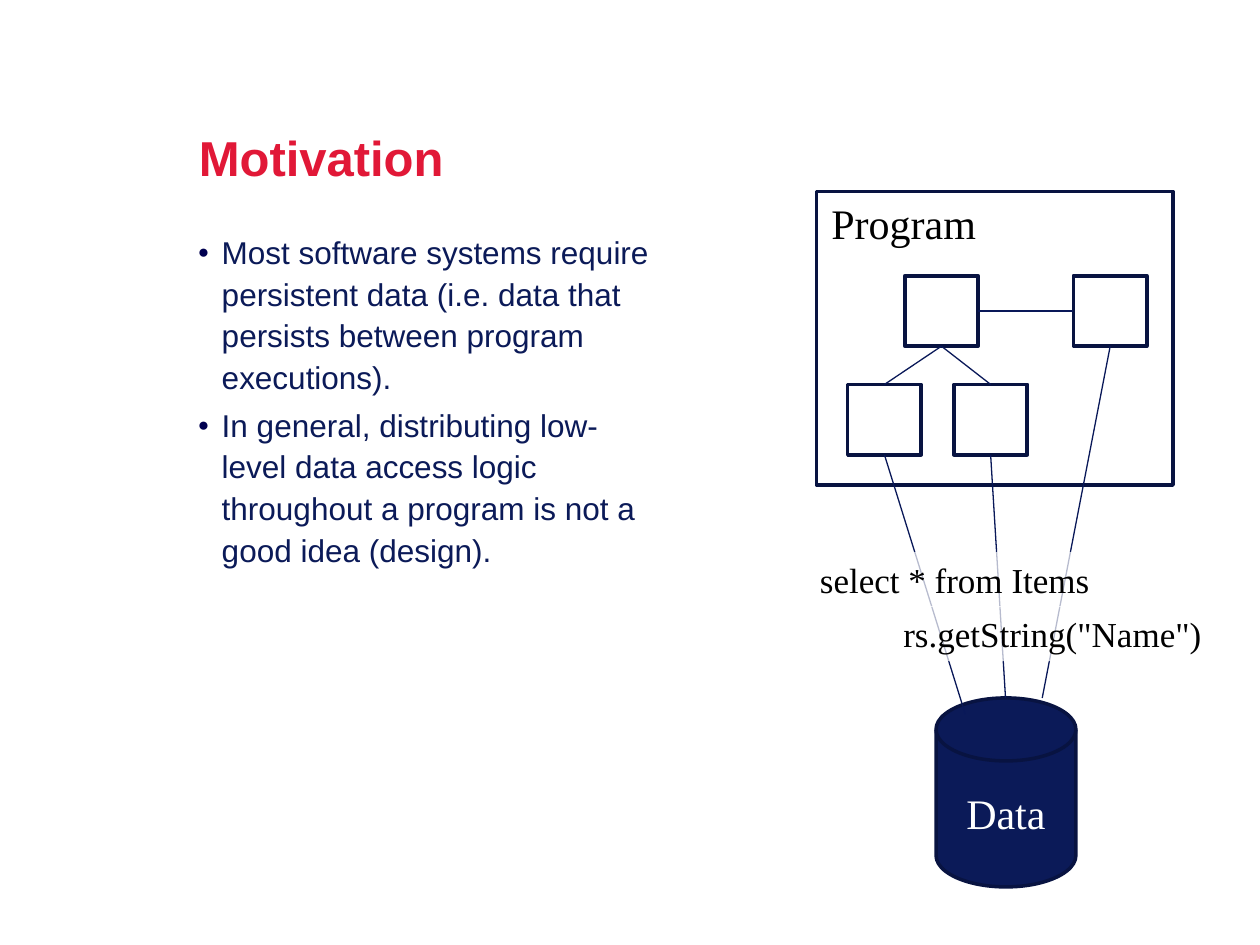
from dataclasses import dataclass

from lxml.etree import SubElement
from pptx import Presentation
from pptx.dml.color import RGBColor
from pptx.enum.shapes import MSO_CONNECTOR as Connector, MSO_SHAPE as Preset
from pptx.enum.text import MSO_ANCHOR as Anchor, MSO_AUTO_SIZE as AutoSize, PP_ALIGN as Align
from pptx.oxml.ns import qn
from pptx.util import Cm, Pt


@dataclass(frozen=True)
class Theme:
    heading_font: str = "Arial"
    diagram_font: str = "Times New Roman"
    red: str = "E11837"
    navy: str = "0B1A58"
    bullet: str = "000050"
    outline: str = "081341"
    link: str = "091858"
    black: str = "000000"
    white: str = "FFFFFF"
    title_size: int = 28
    body_size: int = 18
    label_size: int = 24
    code_size: int = 20
    outline_width: float = 2
    link_width: float = 0.75


TOP, LEFT, BOTTOM, RIGHT = range(4)  # connection sites of a rectangle


class SlideBuilder:
    def __init__(self, slide, theme):
        self.slide = slide
        self.theme = theme

    def place(self, shape, left, top, width, height):
        shape.left, shape.top = Cm(left), Cm(top)
        shape.width, shape.height = Cm(width), Cm(height)

    def style_text(self, text_frame, font, size, color, bold=False):
        for paragraph in text_frame.paragraphs:
            paragraph.alignment = Align.LEFT
            for run in paragraph.runs:
                run.font.name, run.font.size, run.font.bold = font, Pt(size), bold
                run.font.color.rgb = RGBColor.from_string(color)

    def fill_placeholder(self, shape, text, box, anchor, size, color, bold=False):
        self.place(shape, *box)
        frame = shape.text_frame
        frame.text = text
        frame.auto_size = AutoSize.NONE
        frame.vertical_anchor = anchor
        frame.margin_left = 0
        self.style_text(frame, self.theme.heading_font, size, color, bold)
        return frame

    def title(self, text, *box):
        frame = self.fill_placeholder(self.slide.shapes.title, text, box, Anchor.BOTTOM,
                                      self.theme.title_size, self.theme.red, True)
        frame.paragraphs[0].line_spacing = 0.9

    def bullets(self, items, *box):
        frame = self.fill_placeholder(self.slide.placeholders[1], "\n".join(items), box,
                                      Anchor.TOP, self.theme.body_size, self.theme.navy)
        for paragraph in frame.paragraphs:
            paragraph.line_spacing = 1.1
            paragraph.space_before = Pt(self.theme.body_size * 0.2)
            properties = paragraph._p.get_or_add_pPr()
            properties.set("marL", str(Cm(0.48)))
            properties.set("indent", str(-Cm(0.48)))
            color = SubElement(properties, qn("a:buClr"))
            SubElement(color, qn("a:srgbClr"), val=self.theme.bullet)
            SubElement(properties, qn("a:buSzPct"), val="60000")
            SubElement(properties, qn("a:buFont"), typeface=self.theme.heading_font)
            SubElement(properties, qn("a:buChar"), char="●")

    def outlined(self, preset, left, top, width, height, fill=None):
        shape = self.slide.shapes.add_shape(preset, Cm(left), Cm(top), Cm(width), Cm(height))
        shape.shadow.inherit = False
        if fill:
            shape.fill.solid()
            shape.fill.fore_color.rgb = RGBColor.from_string(fill)
        else:
            shape.fill.background()
        shape.line.color.rgb = RGBColor.from_string(self.theme.outline)
        shape.line.width = Pt(self.theme.outline_width)
        return shape

    def label(self, text, left, top, width, height, size, color, veil=None):
        shape = self.slide.shapes.add_textbox(Cm(left), Cm(top), Cm(width), Cm(height))
        frame = shape.text_frame
        frame.text = text
        frame.word_wrap = False
        frame.auto_size = AutoSize.SHAPE_TO_FIT_TEXT
        self.style_text(frame, self.theme.diagram_font, size, color)
        if veil:
            shape.fill.solid()
            shape.fill.fore_color.rgb = RGBColor.from_string(self.theme.white)
            color_element = shape._element.spPr.find(f"{qn('a:solidFill')}/{qn('a:srgbClr')}")
            SubElement(color_element, qn("a:alpha"), val=str(veil * 1000))

    def link(self, source, source_site, target, target_site=None):
        """Join a box to another box, or to a point given as (x, y)."""
        end = (0, 0) if target_site is not None else map(Cm, target)
        line = self.slide.shapes.add_connector(Connector.STRAIGHT, 0, 0, *end)
        line.begin_connect(source, source_site)
        if target_site is not None:
            line.end_connect(target, target_site)
        line.line.color.rgb = RGBColor.from_string(self.theme.link)
        line.line.width = Pt(self.theme.link_width)
        SubElement(line._element.spPr, qn("a:effectLst"))


presentation = Presentation()
presentation.slide_width, presentation.slide_height = Cm(25.4), Cm(19.05)
theme = Theme()
slide = presentation.slides.add_slide(presentation.slide_layouts[1])
builder = SlideBuilder(slide, theme)

# Title and bullets
builder.title("Motivation", 4.01, 2.49, 19.66, 1.4)
builder.bullets([
    "Most software systems require persistent data (i.e. data that persists "
    "between program executions).",
    "In general, distributing low-level data access logic throughout a program "
    "is not a good idea (design).",
], 3.99, 4.5, 9.5, 10.29)

# Program frame and its objects
builder.outlined(Preset.RECTANGLE, 16.46, 3.86, 7.19, 5.92)
builder.label("Program", 16.51, 3.86, 3.45, 1.3, theme.label_size, theme.black)
UPPER, LOWER = 5.56, 7.75
parent, peer, right_child, left_child = [
    builder.outlined(Preset.RECTANGLE, left, top, 1.48, 1.42)
    for left, top in [(18.24, UPPER), (21.64, UPPER), (19.23, LOWER), (17.09, LOWER)]
]
builder.link(parent, RIGHT, peer, LEFT)
for child in (left_child, right_child):
    builder.link(parent, BOTTOM, child, TOP)

# Data store
builder.outlined(Preset.FLOWCHART_MAGNETIC_DISK, 18.87, 14.07, 2.82, 3.81, theme.navy)
builder.label("Data", 19.23, 15.75, 2.16, 1.27, theme.label_size, theme.white)

# Direct data access
for box, point in [(left_child, (19.46, 14.4)), (peer, (21.01, 14.07)),
                   (right_child, (20.27, 14.07))]:
    builder.link(box, BOTTOM, point)

# Code samples over the access lines
for code, left, top, width in [("select * from Items", 16.28, 11.13, 5.97),
                               ('rs.getString("Name")', 17.96, 12.22, 6.76)]:
    builder.label(code, left, top, width, 1.11, theme.code_size, theme.black, veil=71)

presentation.save("out.pptx")
